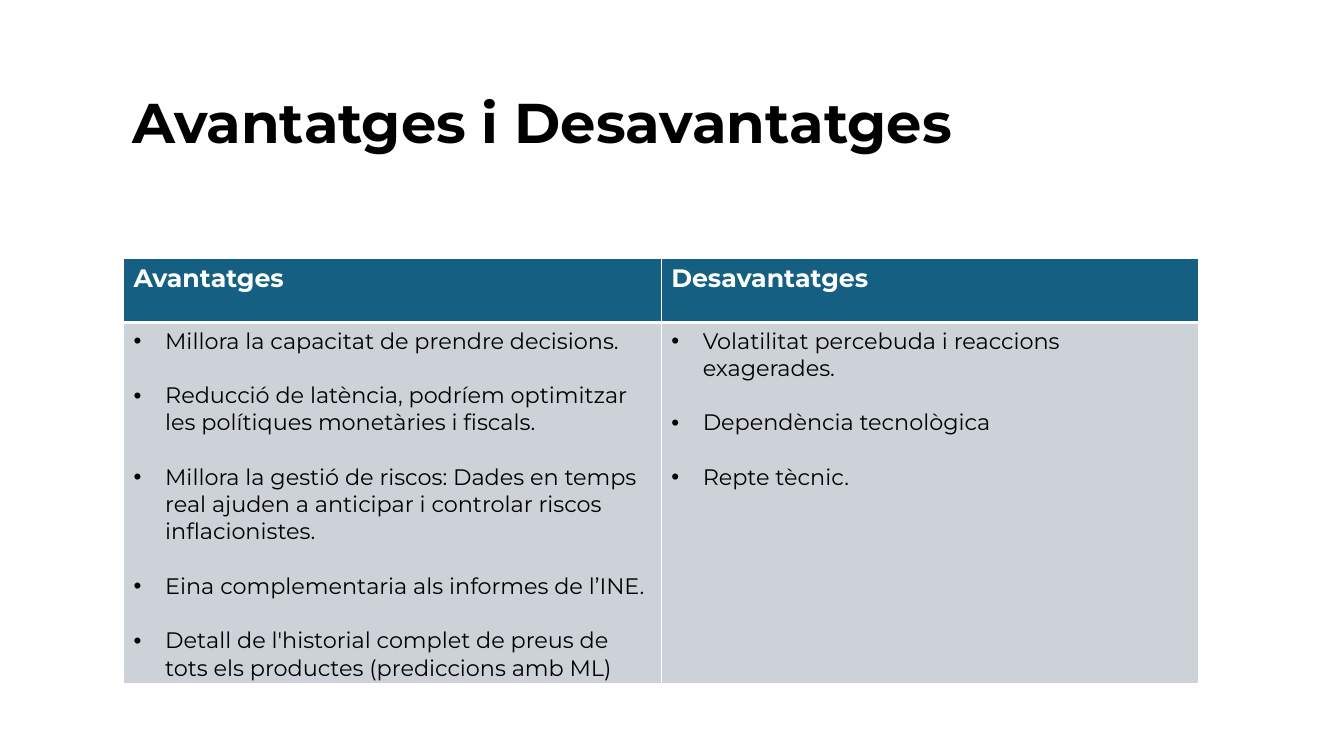
from lxml import etree
from pptx import Presentation
from pptx.dml.color import RGBColor
from pptx.enum.text import MSO_ANCHOR
from pptx.oxml.ns import qn
from pptx.util import Pt

MIDDLE = MSO_ANCHOR.MIDDLE
BLANK_LAYOUT = 6
FONT = "Montserrat"
BLACK, WHITE, HEADER_BLUE, BODY_GREY = "000000", "FFFFFF", "156082", "CCD2D8"
BULLET_INDENT = Pt(22.5)
POINT_GAP = Pt(19.5)

COLUMNS = {
    "Avantatges": [
        "Millora la capacitat de prendre decisions.",
        "Reducció de latència, podríem optimitzar les polítiques monetàries i fiscals.",
        "Millora la gestió de riscos: Dades en temps real ajuden a anticipar "
        "i controlar riscos inflacionistes.",
        "Eina complementaria als informes de l’INE.",
        "Detall de l'historial complet de preus de tots els productes "
        "(prediccions amb ML)",
    ],
    "Desavantatges": [
        "Volatilitat percebuda i reaccions exagerades.",
        "Dependència tecnològica",
        "Repte tècnic.",
    ],
}


def rgb(color):
    return RGBColor.from_string(color)


def add_run(paragraph, text, size, color, bold=False):
    run = paragraph.add_run()
    run.text = text
    run.font.name = FONT
    run.font.size = Pt(size)
    run.font.bold = bold
    run.font.color.rgb = rgb(color)


def add_title(slide, text):
    title = slide.shapes.add_textbox(Pt(87.8), Pt(43.2), Pt(800.6), Pt(92.9))
    frame = title.text_frame
    frame.word_wrap = True
    frame.vertical_anchor = MIDDLE
    frame.paragraphs[0].line_spacing = 0.9
    add_run(frame.paragraphs[0], text, 40, BLACK, bold=True)


def add_bullet(paragraph):
    properties = paragraph._p.get_or_add_pPr()
    properties.set("marL", str(BULLET_INDENT))
    properties.set("indent", str(-BULLET_INDENT))
    etree.SubElement(properties, qn("a:buFont"), typeface="Arial")
    etree.SubElement(properties, qn("a:buChar"), char="•")


def style_cell(cell, fill, top=1, bottom=1):
    """Draw white borders, then the fill, as the schema orders them."""
    properties = cell._tc.get_or_add_tcPr()
    for side, width in zip("LRTB", (1, 1, top, bottom)):
        border = etree.SubElement(properties, qn(f"a:ln{side}"), w=str(Pt(width)))
        solid = etree.SubElement(border, qn("a:solidFill"))
        etree.SubElement(solid, qn("a:srgbClr"), val=WHITE)
    cell.fill.solid()
    cell.fill.fore_color.rgb = rgb(fill)


def fill_points(cell, points):
    frame = cell.text_frame
    for index, point in enumerate(points):
        paragraph = frame.add_paragraph() if index else frame.paragraphs[0]
        if index:
            paragraph.space_before = POINT_GAP
        add_bullet(paragraph)
        add_run(paragraph, point, 16, BLACK)


def add_comparison(slide, columns):
    table = slide.shapes.add_table(
        2, len(columns), Pt(88.3), Pt(184.3), Pt(768), Pt(303)).table
    table.horz_banding = False
    table.rows[0].height = Pt(46)
    table.rows[1].height = Pt(257)
    for index, (heading, points) in enumerate(columns.items()):
        header, body = table.cell(0, index), table.cell(1, index)
        style_cell(header, HEADER_BLUE, bottom=3)
        style_cell(body, BODY_GREY, top=3)
        add_run(header.text_frame.paragraphs[0], heading, 18, WHITE, bold=True)
        fill_points(body, points)


def main():
    presentation = Presentation()
    presentation.slide_width = Pt(960)
    presentation.slide_height = Pt(540)
    slide = presentation.slides.add_slide(presentation.slide_layouts[BLANK_LAYOUT])
    add_title(slide, "Avantatges i Desavantatges")
    add_comparison(slide, COLUMNS)
    presentation.save("out.pptx")


if __name__ == "__main__":
    main()
